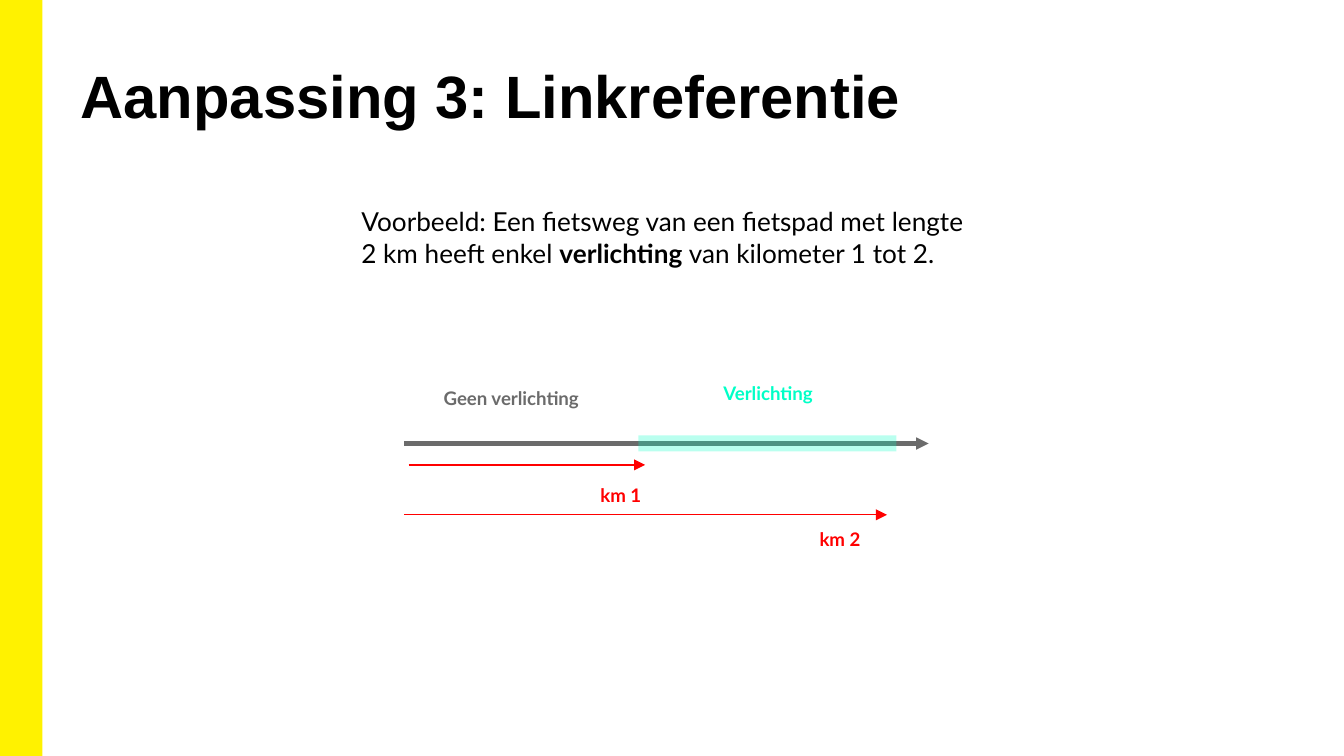
import dataclasses

import lxml.etree
import pptx
import pptx.dml.color
import pptx.enum.shapes
import pptx.enum.text
import pptx.oxml.ns
import pptx.util

Pt = pptx.util.Pt
Align = pptx.enum.text.PP_ALIGN
qn = pptx.oxml.ns.qn


@dataclasses.dataclass(frozen=True)
class Theme:
    yellow: str = "FFF200"
    black: str = "000000"
    grey: str = "6B6B6B"
    teal: str = "00FFC7"
    red: str = "FF0000"
    title_font: str = "Arial"
    body_font: str = "Lato"
    title_size: float = 32
    body_size: float = 14
    label_size: float = 10
    inset: float = 7.2


class SlideBuilder:
    def __init__(self, page, theme):
        self.page = page
        self.theme = theme

    def color(self, code):
        return pptx.dml.color.RGBColor.from_string(code)

    def style(self, span, font, size, color, bold):
        span.font.name = font
        span.font.size = Pt(size)
        span.font.bold = bold
        span.font.color.rgb = self.color(color)

    def frame(self, box, top_inset):
        frame = box.text_frame
        frame.word_wrap = True
        frame.auto_size = pptx.enum.text.MSO_AUTO_SIZE.NONE
        frame.vertical_anchor = pptx.enum.text.MSO_ANCHOR.TOP
        frame.margin_left = frame.margin_right = frame.margin_bottom = Pt(self.theme.inset)
        frame.margin_top = Pt(top_inset)
        return frame

    def title(self, text, left, top, width, height):
        box = self.page.shapes.title
        box.left, box.top, box.width, box.height = map(Pt, (left, top, width, height))
        frame = self.frame(box, 9.6)
        frame.text = text
        para = frame.paragraphs[0]
        para.alignment = Align.LEFT
        para.line_spacing = 1.03
        theme = self.theme
        self.style(para.runs[0], theme.title_font, theme.title_size, theme.black, True)

    def text(self, parts, left, top, width, height, size, color, align=Align.LEFT):
        box = self.page.shapes.add_textbox(*map(Pt, (left, top, width, height)))
        para = self.frame(box, self.theme.inset).paragraphs[0]
        para.alignment = align
        for words, bold in parts:
            span = para.add_run()
            span.text = words
            self.style(span, self.theme.body_font, size, color, bold)

    def label(self, text, left, top, width, color, align=Align.LEFT):
        self.text([(text, True)], left, top, width, 26.4, self.theme.label_size, color, align)

    def bar(self, left, top, width, height, color, alpha=100):
        box = self.page.shapes.add_shape(
            pptx.enum.shapes.MSO_SHAPE.RECTANGLE, *map(Pt, (left, top, width, height))
        )
        box.shadow.inherit = False
        box.fill.solid()
        box.fill.fore_color.rgb = self.color(color)
        box.line.fill.background()
        if alpha < 100:
            tone = box.fill._xPr.find(qn("a:solidFill"))[0]
            lxml.etree.SubElement(tone, qn("a:alpha"), val=str(alpha * 1000))

    def arrow(self, start, end, y, color, weight):
        line = self.page.shapes.add_connector(
            pptx.enum.shapes.MSO_CONNECTOR.STRAIGHT, Pt(start), Pt(y), Pt(end), Pt(y)
        )
        line.line.color.rgb = self.color(color)
        line.line.width = Pt(weight)
        outline = line.line._get_or_add_ln()
        lxml.etree.SubElement(outline, qn("a:tailEnd"), type="triangle")
        lxml.etree.SubElement(line._element.spPr, qn("a:effectLst"))


def main():
    deck = pptx.Presentation()
    deck.slide_width, deck.slide_height = Pt(720), Pt(405)
    page = deck.slides.add_slide(deck.slide_layouts[5])
    theme = Theme()
    slide = SlideBuilder(page, theme)

    slide.bar(0, 0, 22.8, 405, theme.yellow)
    slide.title("Aanpassing 3: Linkreferentie", 36, 20.9, 584, 66.2)
    example = [
        ("Voorbeeld: Een fietsweg van een fietspad met lengte 2 km heeft enkel ", False),
        ("verlichting ", True),
        ("van kilometer 1 tot 2.", False),
    ]
    slide.text(example, 186.5, 103, 346.3, 48.2, theme.body_size, theme.black)

    slide.arrow(216.7, 497.5, 237.6, theme.grey, 2.25)
    slide.bar(342, 233.3, 138.2, 8.6, theme.teal, alpha=27)
    slide.arrow(218.9, 345.6, 249.1, theme.red, 0.75)
    slide.arrow(216.7, 475.2, 275.8, theme.red, 0.75)

    slide.label("km 1", 314.6, 252, 41.8, theme.red)
    slide.label("km 2", 432, 275.8, 38.9, theme.red)
    slide.label("Verlichting", 347.8, 197.3, 127.4, theme.teal, Align.CENTER)
    slide.label("Geen verlichting", 210.2, 200.2, 127.4, theme.grey, Align.CENTER)

    deck.save("out.pptx")


if __name__ == "__main__":
    main()
